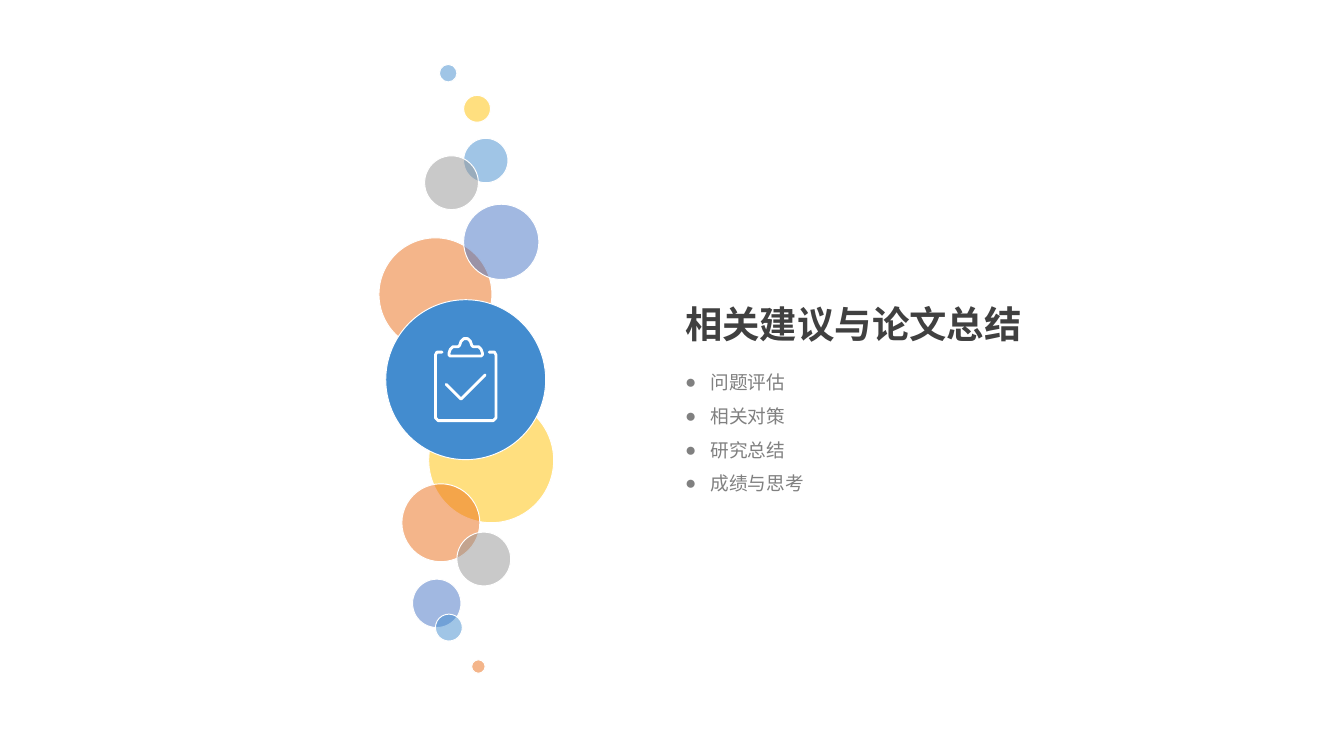
"""Build a section slide: a column of bubbles, a clipboard badge, a title and its topics."""
from lxml import etree
from pptx import Presentation
from pptx import util as u
from pptx.dml.color import RGBColor
from pptx.enum import shapes, text
from pptx.oxml.ns import qn

TITLE = "相关建议与论文总结"
TOPICS = ["问题评估", "相关对策", "研究总结", "成绩与思考"]

THEME = {
    "font": "Noto Sans CJK SC", "bullet_font": "Arial",
    "blue": "438CCF", "indigo": "4472C4", "orange": "EB6C17",
    "gold": "FFC000", "gray": "949494", "white": "FFFFFF",
    "title": "404040", "body": "808080",
    "title_size": 20, "title_pitch": 24, "body_size": 10, "body_pitch": 18,
    "outline": 0.5, "stroke": 1.5, "opacity": 50,
}

COLS = 1000
CELL = u.Inches(10) // COLS

BUBBLES = [
    (319, 296, 93, "gold"), (299, 360, 58, "orange"), (307, 431, 36, "indigo"),
    (340, 396, 40, "gray"), (324, 457, 20, "blue"), (351, 491, 10, "orange"),
    (282, 177, 84, "orange"), (345, 152, 56, "indigo"), (345, 103, 33, "blue"),
    (316, 116, 40, "gray"), (345, 71, 20, "gold"), (327, 48, 13, "blue"),
]
BADGE = (287, 223, 119, "blue")

AXIS = 346.5
CHECK = [(332, 286), (343, 297), (361, 279)]
BOARD_HALF = [(329, 262), (326, 262), (324.6, 262.4), (324, 263.5),
              (324, 311), (324.6, 312.4), (326, 313)]
CLIP_HALF = [(345, 252), (343.6, 252.6), (343, 254), (342, 257), (341.4, 257.8),
             (340, 258), (337, 258), (335.6, 258.6), (335, 260), (334, 263),
             (334, 264.4), (335, 265)]


def rgb(name):
    return RGBColor.from_string(THEME[name])


def mirror(half):
    return half + [(2 * AXIS - x, y) for x, y in reversed(half)]


def add_bubble(s, x, y, size, color, opacity=100):
    sp = s.shapes.add_shape(shapes.MSO_SHAPE.OVAL, *(CELL * n for n in (x, y, size, size)))
    sp.shadow.inherit = False
    sp.fill.solid()
    sp.fill.fore_color.rgb = rgb(color)
    sp.line.color.rgb = rgb("white")
    sp.line.width = u.Pt(THEME["outline"])
    if opacity < 100:
        clr = sp._element.spPr.find(qn("a:solidFill"))[0]
        etree.SubElement(clr, qn("a:alpha"), val=str(opacity * 1000))


def add_stroke(group, points, close=False):
    builder = group.shapes.build_freeform(*points[0], scale=CELL)
    builder.add_line_segments(points[1:], close=close)
    sp = builder.convert_to_shape()
    sp.shadow.inherit = False
    sp.fill.background()
    sp.line.color.rgb = rgb("white")
    sp.line.width = u.Pt(THEME["stroke"])
    ln = sp.line._get_or_add_ln()
    ln.set("cap", "rnd")
    etree.SubElement(ln, qn("a:round"))


def add_text(s, lines, box, size, pitch, color, bold=False, bullet=None):
    tf = s.shapes.add_textbox(*(CELL * n for n in box)).text_frame
    tf.word_wrap = True
    tf.auto_size = text.MSO_AUTO_SIZE.NONE
    for i, line in enumerate(lines):
        p = tf.paragraphs[0] if i == 0 else tf.add_paragraph()
        p.line_spacing = u.Pt(pitch)
        if bullet:
            pPr = p._p.get_or_add_pPr()
            indent = CELL * 19
            pPr.set("marL", str(indent))
            pPr.set("indent", str(-indent))
            etree.SubElement(pPr, qn("a:buFont"), typeface=THEME["bullet_font"])
            etree.SubElement(pPr, qn("a:buChar"), char=bullet)
        r = p.add_run()
        r.text = line
        r.font.size = u.Pt(size)
        r.font.bold = bold
        r.font.name = THEME["font"]
        r.font.color.rgb = rgb(color)
        etree.SubElement(r._r.get_or_add_rPr(), qn("a:ea"), typeface=THEME["font"])


def main():
    prs = Presentation()
    prs.slide_width = CELL * COLS
    prs.slide_height = prs.slide_width * 9 // 16
    s = prs.slides.add_slide(prs.slide_layouts[6])

    for bubble in BUBBLES:
        add_bubble(s, *bubble, opacity=THEME["opacity"])
    add_bubble(s, *BADGE)

    add_text(s, TOPICS, (500, 263, 109, 108), THEME["body_size"],
             THEME["body_pitch"], "body", bullet="●")
    add_text(s, [TITLE], (500, 219, 299, 44), THEME["title_size"],
             THEME["title_pitch"], "title", bold=True)

    icon = s.shapes.add_group_shape()
    add_stroke(icon, CHECK)
    add_stroke(icon, mirror(BOARD_HALF))
    add_stroke(icon, mirror(CLIP_HALF), close=True)

    prs.save("out.pptx")


if __name__ == "__main__":
    main()
